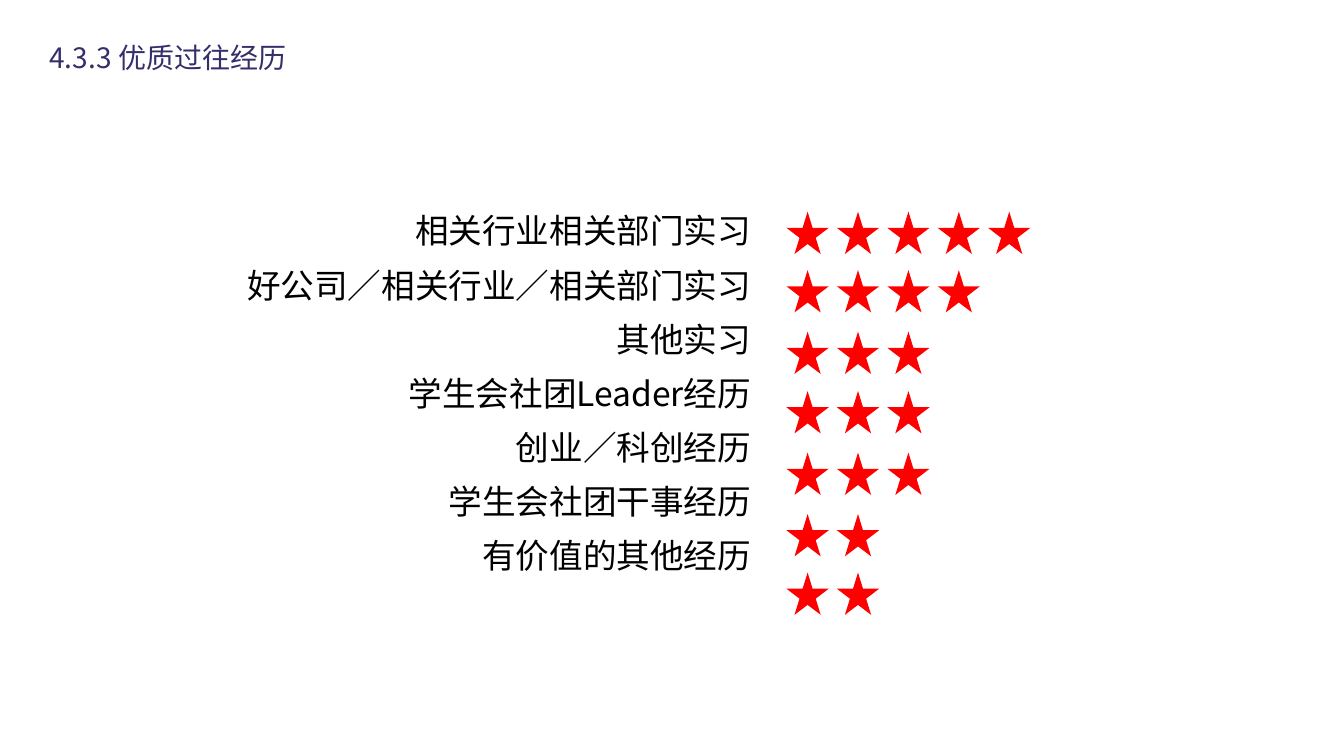
from pptx import Presentation
from pptx.dml.color import RGBColor
from pptx.enum.shapes import MSO_SHAPE
from pptx.enum.text import MSO_ANCHOR, MSO_AUTO_SIZE, PP_ALIGN
from pptx.oxml.ns import qn
from pptx.util import Inches, Pt
from lxml.etree import SubElement

# Content: label, star count, top of the star row
TITLE = "4.3.3 优质过往经历"
ROWS = [
    ("相关行业相关部门实习", 5, 2.1),
    ("好公司／相关行业／相关部门实习", 4, 2.68),
    ("其他实习", 3, 3.29),
    ("学生会社团Leader经历", 3, 3.88),
    ("创业／科创经历", 3, 4.49),
    ("学生会社团干事经历", 2, 5.1),
    ("有价值的其他经历", 2, 5.68),
]
COLORS = {"title": "342E6A", "text": "000000", "star": "FF0000"}
FONT = "Noto Sans CJK SC"
STAR_X, STAR_GAP, STAR_SIZE = 7.8, 0.5, 0.42


def place(shape, left, top, width, height, wrap):
    shape.left, shape.top = Inches(left), Inches(top)
    shape.width, shape.height = Inches(width), Inches(height)
    frame = shape.text_frame
    frame.word_wrap = wrap
    frame.auto_size = MSO_AUTO_SIZE.NONE
    frame.vertical_anchor = MSO_ANCHOR.TOP
    return frame


def add_text(para, text, size, color):
    run = para.add_run()
    run.text = text
    run.font.size = Pt(size)
    run.font.name = FONT
    run.font.color.rgb = RGBColor.from_string(COLORS[color])
    SubElement(run.font._element, qn("a:ea"), typeface=FONT)


deck = Presentation()
deck.slide_width, deck.slide_height = Inches(13.33), Inches(7.5)
slide = deck.slides.add_slide(deck.slide_layouts[1])

# Title
frame = place(slide.shapes.title, 0.39, 0.35, 2.7, 0.44, False)
para = frame.paragraphs[0]
para.alignment = PP_ALIGN.LEFT
add_text(para, TITLE, 20, "title")

# List of experiences
frame = place(slide.placeholders[1], 2.2, 2.13, 5.35, 4.04, True)
for i, (label, count, top) in enumerate(ROWS):
    para = frame.add_paragraph() if i else frame.paragraphs[0]
    para.alignment = PP_ALIGN.RIGHT
    para.line_spacing = 0.75
    para.space_before = Pt(17.1 if i else 0)
    props = para._p.get_or_add_pPr()
    props.set("marL", "0")
    props.set("indent", "0")
    SubElement(props, qn("a:buNone"))
    add_text(para, label, 24, "text")

# Star ratings
for label, count, top in ROWS:
    for i in range(count):
        star = slide.shapes.add_shape(
            MSO_SHAPE.STAR_5_POINT, Inches(STAR_X + i * STAR_GAP), Inches(top),
            Inches(STAR_SIZE), Inches(STAR_SIZE))
        star.shadow.inherit = False
        star.fill.solid()
        star.fill.fore_color.rgb = RGBColor.from_string(COLORS["star"])
        star.line.fill.background()

deck.save("out.pptx")
